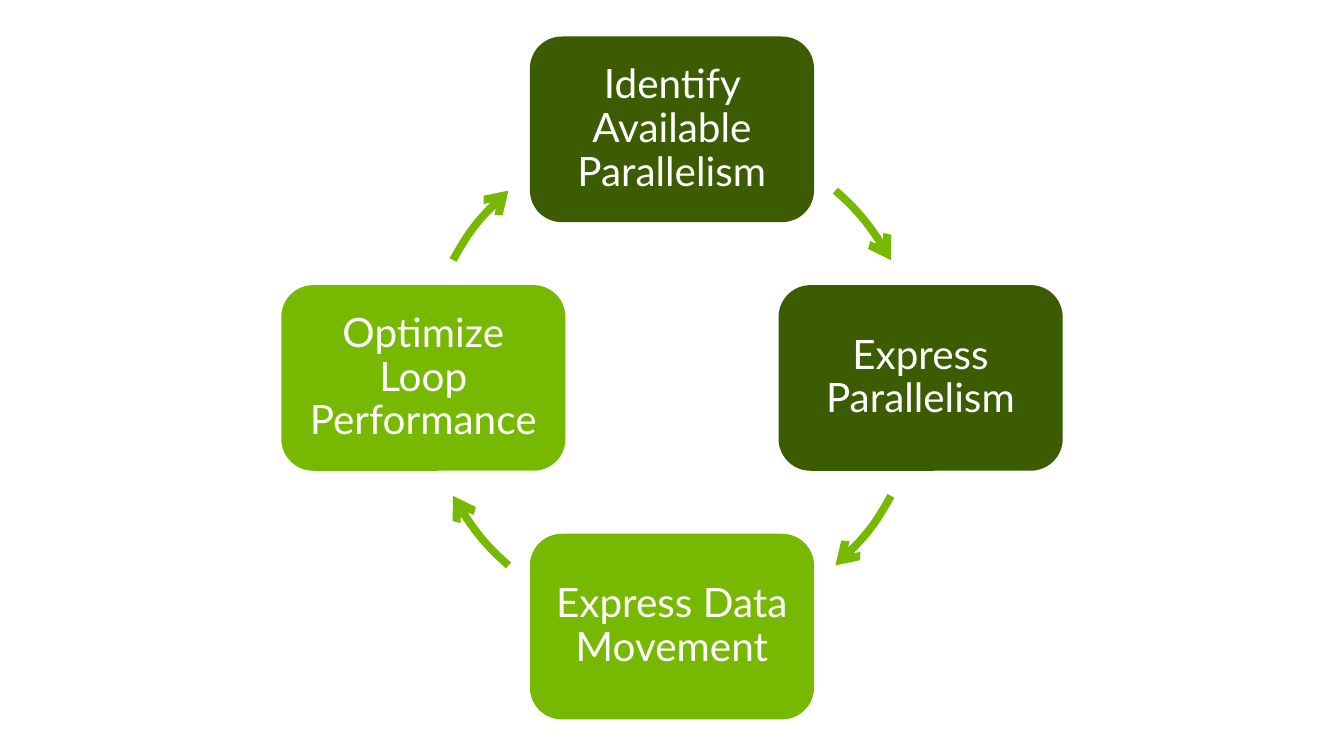
import lxml.etree
import pptx
import pptx.dml.color
import pptx.enum.shapes
import pptx.enum.text
import pptx.oxml.ns
import pptx.util
import math

Inches, Pt = pptx.util.Inches, pptx.util.Pt
SHAPES = pptx.enum.shapes.MSO_SHAPE

THEME = {
    "dark": "3B5C00", "bright": "76B900", "text": "FFFFFF",
    "font": "Lato", "size": 26, "box_line": 2, "arrow_line": 5,
}

# Steps of the cycle, clockwise from the top: wording, fill
STEPS = [
    ("Identify Available Parallelism", "dark"),
    ("Express Parallelism", "dark"),
    ("Express Data Movement", "bright"),
    ("Optimize Loop Performance", "bright"),
]
# Start and end of the arrow after each step, in degrees clockwise from the right
ARROWS = [(311.1, 331.7), (28.3, 48.9), (131.1, 151.7), (208.3, 228.9)]

WIDTH, HEIGHT = 12, 6.75
CENTER_X, CENTER_Y = WIDTH / 2, HEIGHT / 2
RADIUS = 2.22
BOX_WIDTH, BOX_HEIGHT = 2.51, 1.63
INSET = 0.11


def color(name):
    return pptx.dml.color.RGBColor.from_string(THEME[name])


def add_centered(page, kind, x, y, width, height, line_color, line_width):
    shape = page.shapes.add_shape(
        kind, Inches(x - width / 2), Inches(y - height / 2), Inches(width), Inches(height))
    shape.shadow.inherit = False
    shape.line.color.rgb = color(line_color)
    shape.line.width = Pt(line_width)
    return shape


def add_step(page, index, label, fill):
    angle = math.radians(360 / len(STEPS) * index - 90)
    box = add_centered(
        page, SHAPES.ROUNDED_RECTANGLE,
        CENTER_X + RADIUS * math.cos(angle), CENTER_Y + RADIUS * math.sin(angle),
        BOX_WIDTH, BOX_HEIGHT, fill, THEME["box_line"])
    box.fill.solid()
    box.fill.fore_color.rgb = color(fill)
    frame = box.text_frame
    frame.word_wrap = True
    frame.vertical_anchor = pptx.enum.text.MSO_ANCHOR.MIDDLE
    frame.margin_left = frame.margin_right = Inches(INSET)
    frame.margin_top = frame.margin_bottom = Inches(INSET)
    para = frame.paragraphs[0]
    para.text = label
    para.alignment = pptx.enum.text.PP_ALIGN.CENTER
    para.line_spacing = 0.9
    para.font.name = THEME["font"]
    para.font.size = Pt(THEME["size"])
    para.font.color.rgb = color("text")


def add_arrow(page, angles):
    arrow = add_centered(page, SHAPES.ARC, CENTER_X, CENTER_Y, 2 * RADIUS, 2 * RADIUS,
                         "bright", THEME["arrow_line"])
    arrow.fill.background()
    for index, angle in enumerate(angles):
        # 60000 file units per degree, and 100000 per adjustment unit
        arrow.adjustments[index] = angle * 0.6
    lxml.etree.SubElement(
        arrow.line._get_or_add_ln(), pptx.oxml.ns.qn("a:tailEnd"), type="arrow")


def main():
    deck = pptx.Presentation()
    deck.slide_width, deck.slide_height = Inches(WIDTH), Inches(HEIGHT)
    page = deck.slides.add_slide(deck.slide_layouts[6])
    for index, ((label, fill), angles) in enumerate(zip(STEPS, ARROWS)):
        add_step(page, index, label, fill)
        add_arrow(page, angles)
    deck.save("out.pptx")


if __name__ == "__main__":
    main()
